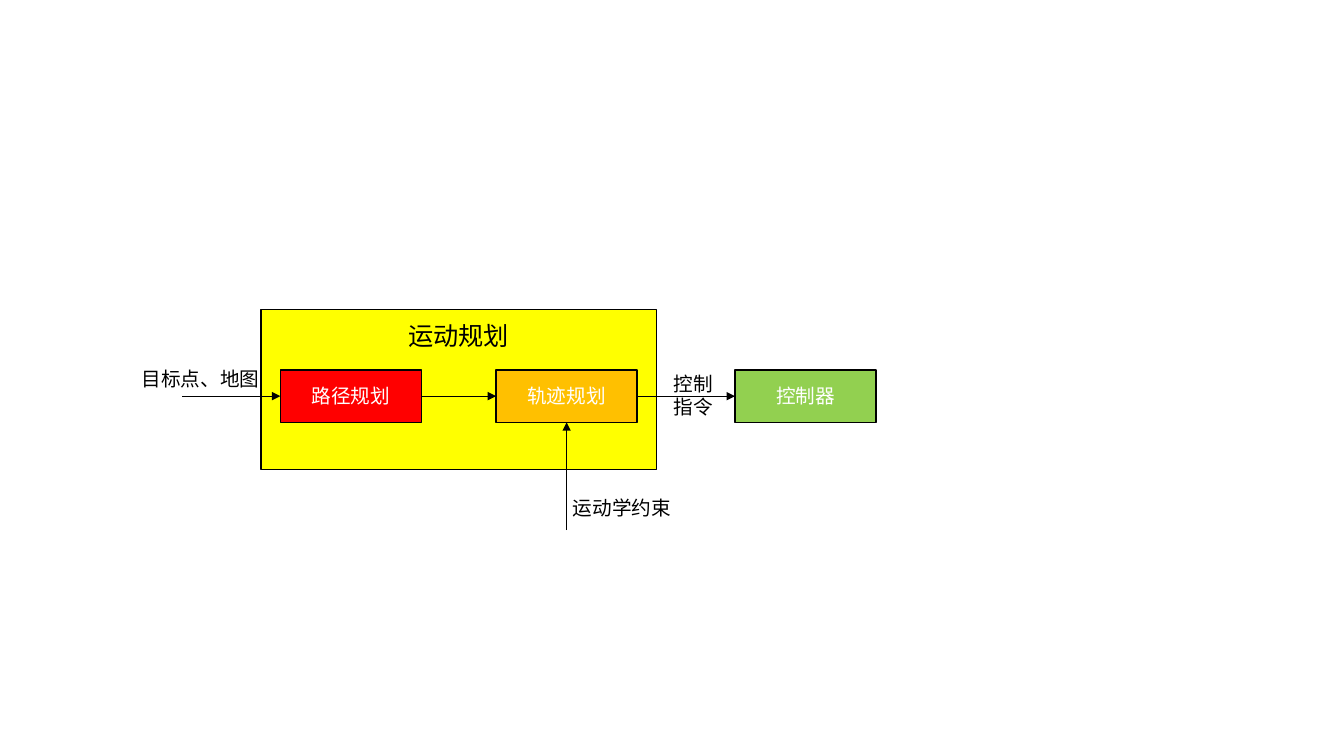
from lxml.etree import SubElement
from pptx import Presentation
from pptx.dml.color import RGBColor
from pptx.enum.shapes import MSO_CONNECTOR as CONN, MSO_SHAPE as SHAPE
from pptx.enum.text import MSO_ANCHOR as ANCHOR, PP_ALIGN as ALIGN
from pptx.oxml.ns import qn
from pptx.util import Inches, Pt

TOP, LEFT, BOTTOM, RIGHT = range(4)


def rgb(value):
    return RGBColor.from_string(value)


class Diagram:
    font = "Noto Sans CJK SC"
    ink = "000000"
    step_w, step_h = 1.4, 0.52

    def __init__(self, slide):
        self.s = slide

    def set_text(self, shape, text, size, color):
        tf = shape.text_frame
        tf.word_wrap = True
        tf.text = text
        for p in tf.paragraphs:
            p.alignment = ALIGN.CENTER
            p.font.size = Pt(size)
            p.font.color.rgb = rgb(color)
            p.font.name = self.font
            latin = p._p.pPr.find(qn("a:defRPr")).find(qn("a:latin"))
            ea = latin.makeelement(qn("a:ea"), {"typeface": self.font})
            latin.addnext(ea)
        return tf

    def box(self, x, y, w, h, fill):
        sp = self.s.shapes.add_shape(SHAPE.RECTANGLE, Inches(x), Inches(y), Inches(w), Inches(h))
        sp.shadow.inherit = False
        sp.fill.solid()
        sp.fill.fore_color.rgb = rgb(fill)
        sp.line.color.rgb = rgb(self.ink)
        sp.line.width = Pt(1)
        return sp

    def step(self, x, y, text, fill):
        sp = self.box(x, y, self.step_w, self.step_h, fill)
        tf = self.set_text(sp, text, 14, "FFFFFF")
        tf.vertical_anchor = ANCHOR.MIDDLE
        return sp

    def label(self, x, y, h, text, size=14):
        sp = self.s.shapes.add_textbox(Inches(x), Inches(y), Inches(1.4), Inches(h))
        self.set_text(sp, text, size, self.ink)

    def arrow(self, target, side, source=None, start=(0, 0)):
        x, y = (Inches(v) for v in start)
        cn = self.s.shapes.add_connector(CONN.STRAIGHT, x, y, x, y)
        if source is not None:
            cn.begin_connect(source, RIGHT)
        cn.end_connect(target, side)
        cn.line.color.rgb = rgb(self.ink)
        cn.line.width = Pt(0.5)
        spPr = cn._element.spPr
        SubElement(spPr.find(qn("a:ln")), qn("a:tailEnd"), type="triangle")
        SubElement(spPr, qn("a:effectLst"))


def main():
    prs = Presentation()
    prs.slide_width, prs.slide_height = Inches(13.33), Inches(7.5)
    d = Diagram(prs.slides.add_slide(prs.slide_layouts[6]))
    row = 3.67
    middle = row + d.step_h / 2

    d.box(2.59, 3.07, 3.92, 1.59, "FFFF00")
    path_plan = d.step(2.78, row, "路径规划", "FF0000")
    trajectory = d.step(4.92, row, "轨迹规划", "FFC000")
    controller = d.step(7.29, row, "控制器", "92D050")

    d.arrow(path_plan, LEFT, start=(1.81, middle))
    d.arrow(trajectory, LEFT, source=path_plan)
    d.arrow(controller, LEFT, source=trajectory)
    d.arrow(trajectory, BOTTOM, start=(4.92 + d.step_w / 2, 5.26))

    d.label(3.85, 3.13, 0.4, "运动规划", 18)
    d.label(1.29, 3.59, 0.34, "目标点、地图")
    d.label(5.47, 4.87, 0.34, "运动学约束")
    d.label(6.18, 3.64, 0.57, "控制\n指令")
    prs.save("out.pptx")


if __name__ == "__main__":
    main()
